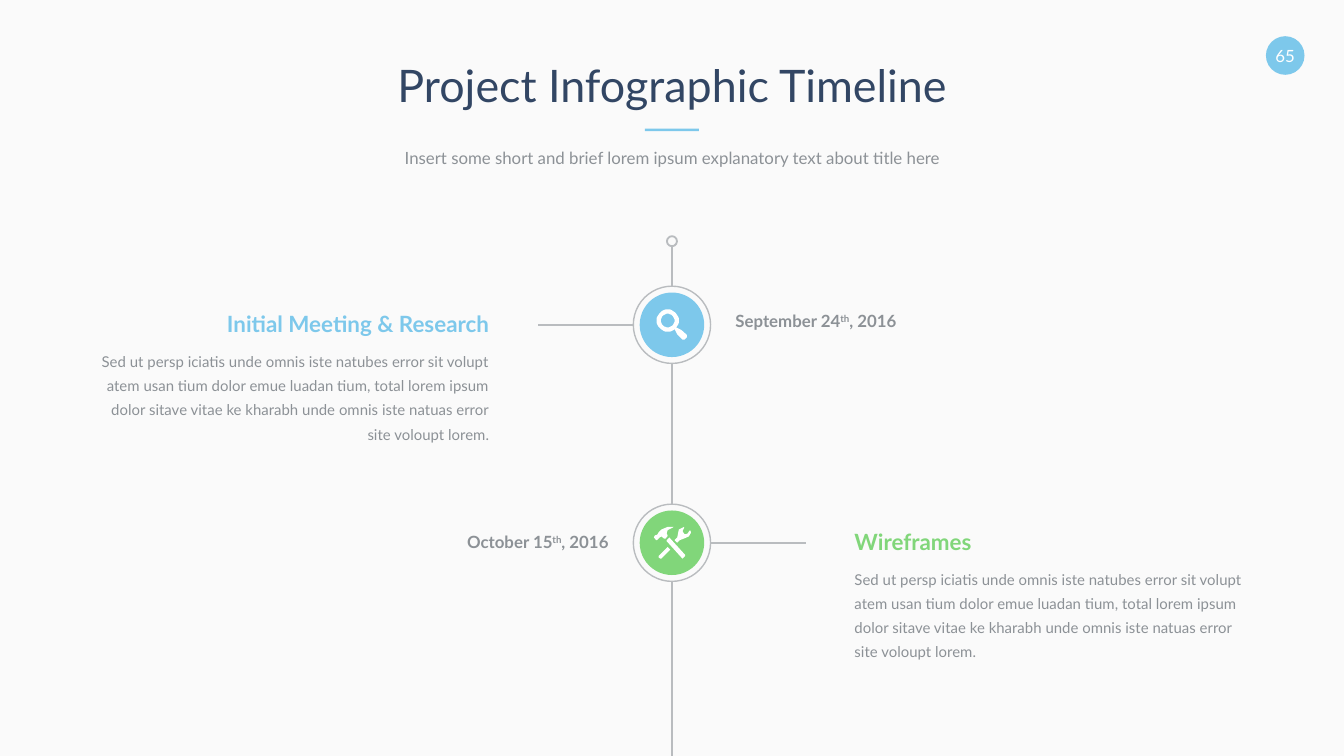
from math import cos, pi, sin

from lxml.etree import SubElement
from pptx import Presentation
from pptx.dml.color import RGBColor
from pptx.enum.shapes import MSO_CONNECTOR as Connector, MSO_SHAPE as Shape
from pptx.enum.text import MSO_ANCHOR as Anchor, MSO_AUTO_SIZE as AutoSize, PP_ALIGN as Align
from pptx.oxml.ns import qn
from pptx.util import Cm, Pt

TITLE = "Project Infographic Timeline"
SUBTITLE = "Insert some short and brief lorem ipsum explanatory text about title here"
PAGE = "65"
BODY = ("Sed ut persp iciatis unde omnis iste natubes error sit volupt atem usan tium dolor "
        "emue luadan tium, total lorem ipsum dolor sitave vitae ke kharabh unde omnis iste "
        "natuas error site voloupt lorem.")

BLUE, GREEN, NAVY, GREY = "7DC8EB", "81D67A", "324664", "8C9196"
RULE, PAPER, WHITE = "B9BCBF", "FAFAFA", "FFFFFF"
WIDTH, HEIGHT, AXIS = 25.4, 14.29, 12.7
DISC, RING, DOT, DOT_Y = 1.22, 1.46, 0.19, 4.56
DATE_GAP, BRANCH_END, TEXT_GAP = 1.2, 2.54, 3.45
TEXT_WIDTH, DATE_WIDTH = 7.34, 4.11


def circle(x, y, radius, turn=1):
    """Return the points of a circle, walked in the given direction."""
    angles = [turn * 2 * pi * step / 36 for step in range(36)]
    return [(x + radius * cos(angle), y + radius * sin(angle)) for angle in angles]


MAGNIFIER = [
    circle(-8, -8, 21),
    circle(-8, -8, 13, -1),
    [(5, 8), (10, 18), (20, 28), (24, 28), (28, 24), (28, 19), (18, 10), (8, 5)],
]
TOOLS = [
    [(-25, 25), (-25, 28), (-22, 30), (-20, 30), (-3, 13), (-8, 8)],
    [(35, -23), (33, -23), (30, -18), (26, -16), (23, -17), (20, -22), (23, -28), (23, -30),
     (13, -25), (12, -20), (10, -10), (5, -5), (10, 0), (15, -5), (23, -8), (32, -12), (36, -19)],
    [(-5, -10), (-10, -5), (-10, -3), (18, 28), (20, 30), (25, 25), (25, 23)],
    [(-23, -10), (-20, -12), (-15, -8), (-12, -8), (-8, -13), (-10, -18), (-8, -24), (2, -29),
     (3, -30), (-8, -30), (-20, -25), (-25, -20), (-28, -15), (-30, -15), (-33, -13),
     (-34, -10), (-30, -5), (-28, -5), (-25, -8)],
]
MILESTONES = [
    dict(y=6.14, side=-1, color=BLUE, icon=MAGNIFIER, heading="Initial Meeting & Research",
         date=("September 24", "th", ", 2016"), date_rise=0.27),
    dict(y=10.26, side=1, color=GREEN, icon=TOOLS, heading="Wireframes",
         date=("October 15", "th", ", 2016"), date_rise=0.2),
]


def rgb(color):
    return RGBColor.from_string(color)


def paint(shape, fill=None, line=None, weight=1):
    shape.shadow.inherit = False
    if fill:
        shape.fill.solid()
        shape.fill.fore_color.rgb = rgb(fill)
    else:
        shape.fill.background()
    if line:
        shape.line.color.rgb = rgb(line)
        shape.line.width = Pt(weight)
    else:
        shape.line.fill.background()
    return shape


def add_disc(shapes, x, y, size, **look):
    disc = shapes.add_shape(Shape.OVAL, Cm(x - size / 2), Cm(y - size / 2), Cm(size), Cm(size))
    return paint(disc, **look)


def add_rule(shapes, x1, y1, x2, y2):
    rule = shapes.add_connector(Connector.STRAIGHT, Cm(x1), Cm(y1), Cm(x2), Cm(y2))
    rule.line.color.rgb = rgb(RULE)
    rule.line.width = Pt(1)
    SubElement(rule._element.spPr, qn("a:effectLst"))


def add_icon(shapes, x, y, contours):
    first, *others = contours
    builder = shapes.build_freeform(*first[0], scale=Cm(0.01))
    builder.add_line_segments(first[1:])
    for contour in others:
        builder.move_to(*contour[0])
        builder.add_line_segments(contour[1:])
    paint(builder.convert_to_shape(Cm(x), Cm(y)), fill=WHITE)


def write(shape, parts, size, color, align, bold=False, spacing=None, anchor=Anchor.TOP):
    frame = shape.text_frame
    frame.margin_left = frame.margin_right = frame.margin_top = frame.margin_bottom = 0
    frame.word_wrap = True
    frame.auto_size = AutoSize.NONE
    frame.vertical_anchor = anchor
    paragraph = frame.paragraphs[0]
    paragraph.alignment = align
    if spacing:
        paragraph.line_spacing = spacing
    for part in parts:
        run = paragraph.add_run()
        run.text = part
        run.font.name, run.font.size, run.font.bold = "Lato", Pt(size), bold
        run.font.color.rgb = rgb(color)
        if part == "th":
            run._r.get_or_add_rPr().set("baseline", "30000")


def add_text(shapes, edge, side, top, width, height, parts, *style, **options):
    left = edge if side > 0 else edge - width
    box = shapes.add_textbox(Cm(left), Cm(top), Cm(width), Cm(height))
    write(box, parts, *style, Align.LEFT if side > 0 else Align.RIGHT, **options)


def add_milestone(shapes, y, side, color, icon, heading, date, date_rise):
    add_disc(shapes, AXIS, y, DISC, fill=color)
    add_icon(shapes, AXIS, y, icon)
    add_disc(shapes, AXIS, y, RING, line=RULE, weight=0.75)
    add_rule(shapes, AXIS + side * RING / 2, y, AXIS + side * BRANCH_END, y)
    edge = AXIS + side * TEXT_GAP
    add_text(shapes, edge, side, y - 0.27, TEXT_WIDTH, 0.51, [heading], 12, color, bold=True)
    add_text(shapes, edge, side, y + 0.41, TEXT_WIDTH, 1.85, [BODY], 8, GREY, spacing=1.35)
    add_text(shapes, AXIS - side * DATE_GAP, -side, y - date_rise, DATE_WIDTH, 0.38,
             date, 9, GREY, bold=True)


def main():
    deck = Presentation()
    deck.slide_width, deck.slide_height = Cm(WIDTH), Cm(HEIGHT)
    slide = deck.slides.add_slide(deck.slide_layouts[5])
    slide.background.fill.solid()
    slide.background.fill.fore_color.rgb = rgb(PAPER)
    shapes = slide.shapes

    title = shapes.title
    title.left, title.top, title.width, title.height = Cm(1.9), Cm(1.09), Cm(21.6), Cm(1.12)
    write(title, [TITLE], 24, NAVY, Align.CENTER)
    paint(shapes.add_shape(Shape.RECTANGLE, Cm(AXIS - 0.51), Cm(2.43), Cm(1.02), Cm(0.05)),
          fill=BLUE)
    subtitle = shapes.add_textbox(Cm(1.9), Cm(2.79), Cm(21.6), Cm(0.43))
    write(subtitle, [SUBTITLE], 9, GREY, Align.CENTER)
    badge = add_disc(shapes, 24.29, 1.05, 0.73, fill=BLUE)
    write(badge, [PAGE], 9, WHITE, Align.CENTER, anchor=Anchor.MIDDLE)

    add_disc(shapes, AXIS, DOT_Y, DOT, line=RULE)
    starts = [DOT_Y + DOT / 2] + [milestone["y"] + RING / 2 for milestone in MILESTONES]
    ends = [milestone["y"] - RING / 2 for milestone in MILESTONES] + [HEIGHT]
    for start, end in zip(starts, ends):
        add_rule(shapes, AXIS, start, AXIS, end)
    for milestone in MILESTONES:
        add_milestone(shapes, **milestone)
    deck.save("out.pptx")


if __name__ == "__main__":
    """Build the project timeline slide."""
    main()
